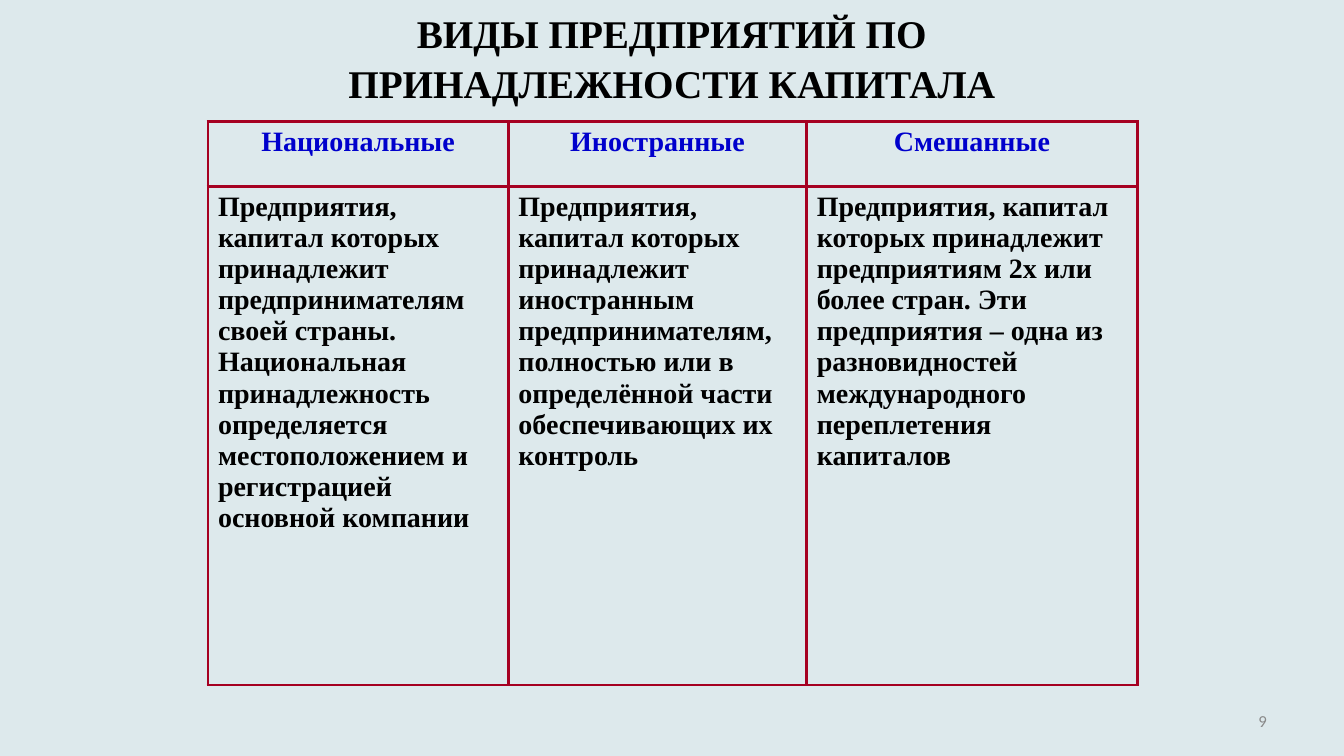
from dataclasses import dataclass

from lxml.etree import SubElement
from pptx import Presentation
from pptx.dml.color import RGBColor
from pptx.enum.text import MSO_ANCHOR, PP_ALIGN
from pptx.oxml.ns import qn
from pptx.slide import Slide
from pptx.util import Cm, Pt

COLUMNS = [
    ("Национальные",
     "Предприятия, капитал которых принадлежит предпринимателям своей страны. "
     "Национальная принадлежность определяется местоположением и регистрацией "
     "основной компании"),
    ("Иностранные",
     "Предприятия, капитал которых принадлежит иностранным предпринимателям, "
     "полностью или в определённой части обеспечивающих их контроль"),
    ("Смешанные",
     "Предприятия, капитал которых принадлежит предприятиям 2х или более стран. "
     "Эти предприятия – одна из разновидностей международного переплетения капиталов"),
]


def color(value):
    return RGBColor.from_string(value)


@dataclass
class CapitalSlide:
    """Holds the slide together with its colours and fonts."""

    slide: Slide
    background: str = "DDE9EC"
    border: str = "A50021"
    heading: str = "0000CC"
    ink: str = "000000"
    muted: str = "898989"
    serif: str = "Times New Roman"
    sans: str = "Calibri"

    def paint_background(self):
        fill = self.slide.background.fill
        fill.solid()
        fill.fore_color.rgb = color(self.background)

    def add_text(self, frame, text, size, font, ink, align, bold=True):
        paragraph = frame.paragraphs[0]
        paragraph.alignment = align
        run = paragraph.add_run()
        run.text = text
        run.font.size = Pt(size)
        run.font.name = font
        run.font.bold = bold
        run.font.color.rgb = color(ink)
        return paragraph

    def text_box(self, text, left, top, width, height, *style, **options):
        box = self.slide.shapes.add_textbox(Cm(left), Cm(top), Cm(width), Cm(height))
        frame = box.text_frame
        frame.word_wrap = True
        frame.vertical_anchor = MSO_ANCHOR.MIDDLE
        return self.add_text(frame, text, *style, **options)

    def outline(self, cell):
        properties = cell._tc.get_or_add_tcPr()
        for position, side in enumerate(("a:lnL", "a:lnR", "a:lnT", "a:lnB")):
            line = properties.makeelement(qn(side), {"w": str(Pt(2.25))})
            fill = SubElement(line, qn("a:solidFill"))
            SubElement(fill, qn("a:srgbClr"), val=self.border)
            properties.insert(position, line)

    def table(self, columns, left, top, widths, heights):
        frame = self.slide.shapes.add_table(
            len(heights), len(widths), Cm(left), Cm(top),
            Cm(sum(widths)), Cm(sum(heights)))
        table = frame.table
        for row, height in zip(table.rows, heights):
            row.height = Cm(height)
        styles = ((self.heading, PP_ALIGN.CENTER), (self.ink, PP_ALIGN.LEFT))
        for index, (width, texts) in enumerate(zip(widths, columns)):
            table.columns[index].width = Cm(width)
            for row, (text, (ink, align)) in enumerate(zip(texts, styles)):
                cell = table.cell(row, index)
                cell.fill.solid()
                cell.fill.fore_color.rgb = color(self.background)
                self.outline(cell)
                self.add_text(cell.text_frame, text, 20, self.serif, ink, align)


def main():
    presentation = Presentation()
    presentation.slide_width = Cm(33.87)
    presentation.slide_height = Cm(19.05)
    page = CapitalSlide(presentation.slides.add_slide(presentation.slide_layouts[6]))
    page.paint_background()
    title = page.text_box("ВИДЫ ПРЕДПРИЯТИЙ ПО ПРИНАДЛЕЖНОСТИ КАПИТАЛА",
                          5.5, 0, 22.86, 2.82, 28, page.serif, page.ink, PP_ALIGN.CENTER)
    title.line_spacing = 1.08
    page.text_box("9", 24.28, 17.65, 7.9, 1.02, 12, page.sans, page.muted,
                  PP_ALIGN.RIGHT, bold=False)
    page.table(COLUMNS, 5.24, 3.06, (7.57, 7.52, 8.33), (1.64, 12.56))
    presentation.save("out.pptx")


if __name__ == "__main__":
    main()
